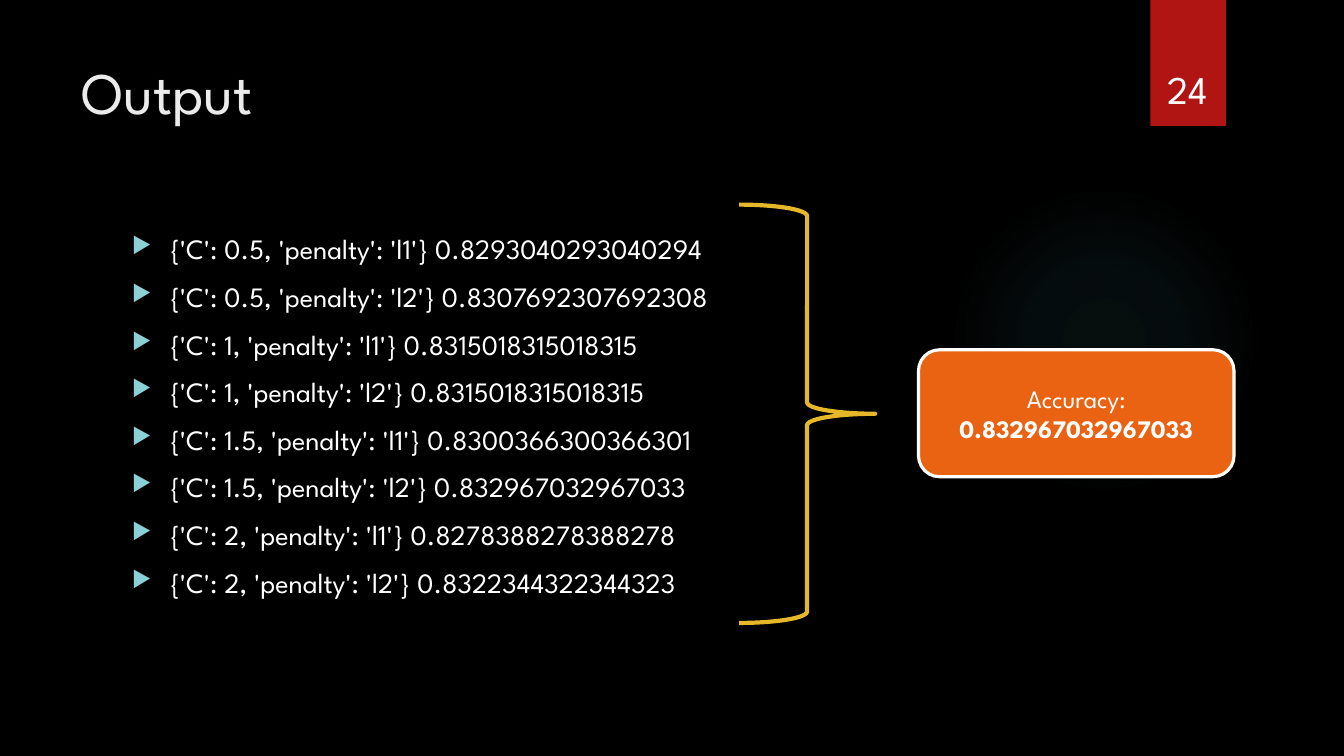
from lxml import etree
from pptx import Presentation
from pptx.dml.color import RGBColor
from pptx.enum.shapes import MSO_SHAPE
from pptx.enum.text import MSO_ANCHOR, PP_ALIGN
from pptx.oxml import parse_xml
from pptx.oxml.ns import nsdecls, qn
from pptx.util import Inches, Pt

OVAL, RECT = MSO_SHAPE.OVAL, MSO_SHAPE.RECTANGLE
BRACE, ROUND = MSO_SHAPE.RIGHT_BRACE, MSO_SHAPE.ROUNDED_RECTANGLE
TOP, MIDDLE, BOTTOM = MSO_ANCHOR.TOP, MSO_ANCHOR.MIDDLE, MSO_ANCHOR.BOTTOM
LEFT, CENTER = PP_ALIGN.LEFT, PP_ALIGN.CENTER

FONT = "League Spartan"
COLORS = {
    "back": "000000", "glow": "50B9C1", "tab": "B01513", "title": "EBEBEB",
    "text": "FFFFFF", "bullet": "8AD0D6", "brace": "E6B729", "card": "EA6312",
}
SCORES = [
    ("0.5", "l1", "0.8293040293040294"),
    ("0.5", "l2", "0.8307692307692308"),
    ("1", "l1", "0.8315018315018315"),
    ("1", "l2", "0.8315018315018315"),
    ("1.5", "l1", "0.8300366300366301"),
    ("1.5", "l2", "0.832967032967033"),
    ("2", "l1", "0.8278388278388278"),
    ("2", "l2", "0.8322344322344323"),
]


def color(name):
    return RGBColor.from_string(COLORS[name])


def add_run(para, text, size, tint="text", bold=False):
    run = para.add_run()
    run.text = text
    style = {"name": FONT, "size": Pt(size), "bold": bold}
    for key, value in style.items():
        setattr(run.font, key, value)
    run.font.color.rgb = color(tint)


def set_frame(shape, anchor, align):
    frame = shape.text_frame
    for key, value in {"word_wrap": True, "vertical_anchor": anchor}.items():
        setattr(frame, key, value)
    frame.paragraphs[0].alignment = align
    return frame


def add_text(slide, box, anchor=TOP, align=LEFT):
    shape = slide.shapes.add_textbox(*map(Inches, box))
    return set_frame(shape, anchor, align)


def add_shape(slide, kind, box, fill=None, line=None, width=0):
    shape = slide.shapes.add_shape(kind, *map(Inches, box))
    shape.shadow.inherit = False
    if fill:
        shape.fill.solid()
        shape.fill.fore_color.rgb = color(fill)
    else:
        shape.fill.background()
    if line:
        shape.line.color.rgb = color(line)
        shape.line.width = Pt(width)
    else:
        shape.line.fill.background()
    return shape


def add_glow(slide, box, stops):
    shape = add_shape(slide, OVAL, box)
    marks = "".join(
        f'<a:gs pos="{pos * 1000}"><a:srgbClr val="{COLORS["glow"]}">'
        f'<a:alpha val="{alpha * 1000}"/></a:srgbClr></a:gs>'
        for pos, alpha in stops)
    grad = parse_xml(
        f'<a:gradFill {nsdecls("a")} rotWithShape="1"><a:gsLst>{marks}</a:gsLst>'
        '<a:path path="circle"><a:fillToRect l="50000" t="50000" r="50000" '
        'b="50000"/></a:path></a:gradFill>')
    props = shape.fill._xPr
    props.replace(props.find(qn("a:noFill")), grad)


def add_bullet(para):
    props = para._p.get_or_add_pPr()
    indent = Inches(0.38)
    props.set("marL", str(indent))
    props.set("indent", str(-indent))
    tint = etree.SubElement(props, qn("a:buClr"))
    etree.SubElement(tint, qn("a:srgbClr"), val=COLORS["bullet"])
    etree.SubElement(props, qn("a:buSzPct"), val="80000")
    etree.SubElement(props, qn("a:buChar"), char="▶")


def add_list(slide, box, lines):
    frame = add_text(slide, box)
    for i, line in enumerate(lines):
        para = frame.add_paragraph() if i else frame.paragraphs[0]
        add_bullet(para)
        para.space_before = Pt(10 if i else 0)
        add_run(para, line, 20)


def main():
    deck = Presentation()
    deck.slide_width, deck.slide_height = Inches(13.33), Inches(7.5)
    slide = deck.slides.add_slide(deck.slide_layouts[6])
    slide.background.fill.solid()
    slide.background.fill.fore_color.rgb = color("back")

    # Backdrop
    add_glow(slide, (9.41, 1.83, 3.08, 3.08), [(0, 7), (36, 6), (69, 0)])
    add_shape(slide, RECT, (11.41, 0, 0.75, 1.25), "tab")

    # Title and slide number
    title = add_text(slide, (0.71, 0.5, 10.29, 1.53))
    add_run(title.paragraphs[0], "Output", 42, "title")
    number = add_text(slide, (11.32, 0.32, 0.92, 0.84), BOTTOM, CENTER)
    add_run(number.paragraphs[0], "24", 28)

    # Scores for each setting
    lines = [f"{{'C': {c}, 'penalty': '{norm}'}} {score}"
             for c, norm, score in SCORES]
    add_list(slide, (1.21, 2.25, 9.78, 4.59), lines)

    # Brace and best accuracy
    add_shape(slide, BRACE, (7.33, 2.03, 1.35, 4.15), None, "brace", 3)
    card = add_shape(slide, ROUND, (9.11, 3.47, 3.13, 1.26), "card", "text", 2.25)
    para = set_frame(card, MIDDLE, CENTER).paragraphs[0]
    add_run(para, "Accuracy: ", 18)
    add_run(para, "0.832967032967033", 18, bold=True)

    deck.save("out.pptx")


if __name__ == "__main__":
    main()
